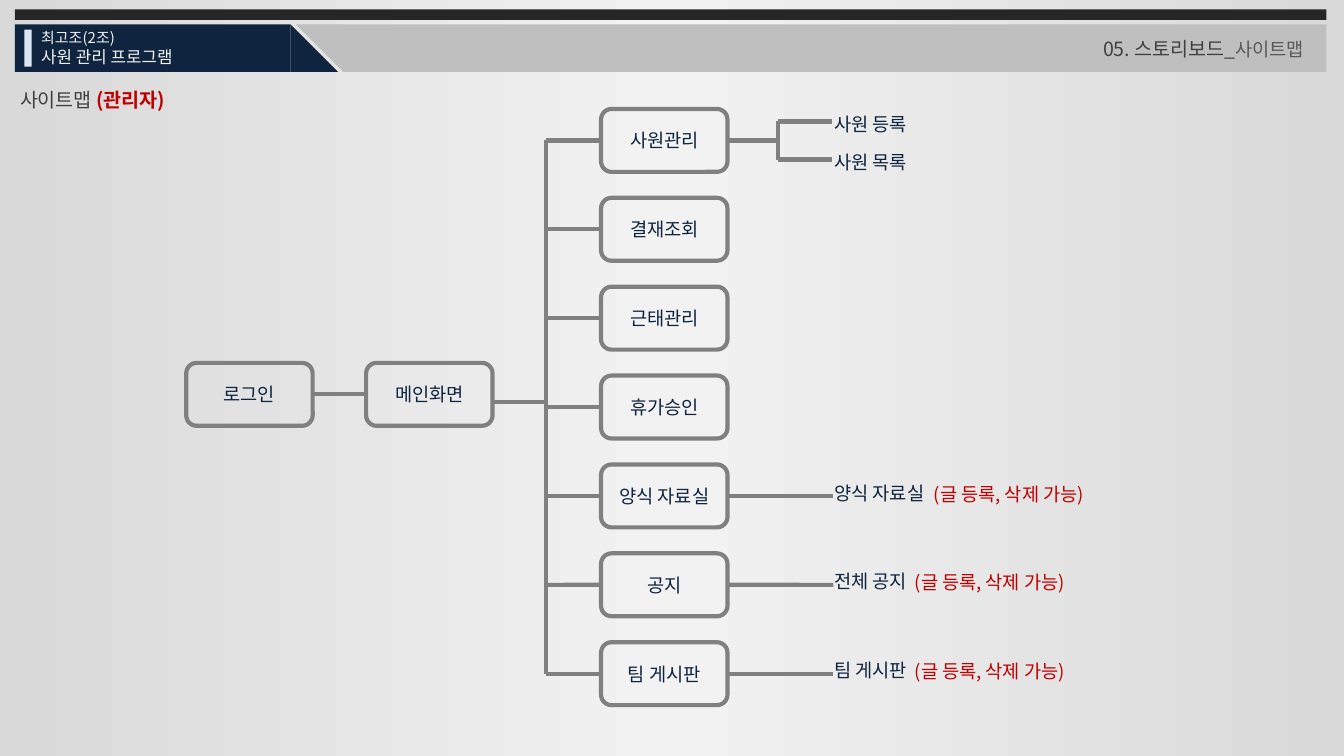
from collections import namedtuple
from copy import deepcopy

from lxml import etree
from pptx import Presentation
from pptx import util as u
from pptx.dml.color import RGBColor
from pptx.enum import shapes, text
from pptx.oxml import ns

COLORS = {
    "edge": "D9D9D9", "middle": "F2F2F2", "strip": "262626", "navy": "0F243E",
    "silver": "BFBFBF", "accent": "DCE6F2", "title": "404040", "muted": "595959",
    "line": "808080", "red": "C00000",
}
FONT = "Noto Sans CJK KR"
RIGHTS = "(글 등록, 삭제 가능)"
MENU = ["사원관리", "결재조회", "근태관리", "휴가승인", "양식 자료실", "공지", "팀 게시판"]
DETAILS = {4: ("양식 자료실", 1.88), 5: ("전체 공지", 1.52), 6: ("팀 게시판", 1.52)}
NODE_WIDTH, NODE_HEIGHT = 2.39, 1.19
LABEL_HEIGHT = 0.69

Box = namedtuple("Box", "left top width height")


def color(name):
    """Return the named colour."""
    return RGBColor.from_string(COLORS[name])


def lengths(box):
    """Return the four lengths of a box given in centimetres."""
    return [u.Cm(value) for value in box]


def add_run(para, words, size, shade, bold=False):
    """Append one formatted run to a paragraph."""
    span = para.add_run()
    span.text = words
    span.font.size = u.Pt(size)
    span.font.bold = bold
    span.font.name = FONT
    span.font.color.rgb = color(shade)
    east_asian = etree.SubElement(span.font._element, ns.qn("a:ea"))
    east_asian.set("typeface", FONT)


def add_label(page, box, runs, spacing=None):
    """Add a wrapping text box made of (words, size, colour, bold) runs."""
    label = page.shapes.add_textbox(*lengths(box))
    frame = label.text_frame
    frame.word_wrap = True
    frame.auto_size = text.MSO_AUTO_SIZE.SHAPE_TO_FIT_TEXT
    para = frame.paragraphs[0]
    if spacing:
        para.line_spacing = spacing
    for run in runs:
        add_run(para, *run)


def add_block(page, kind, box, shade, rotation=0):
    """Add a filled shape without an outline."""
    block = page.shapes.add_shape(kind, *lengths(box))
    block.shadow.inherit = False
    block.fill.solid()
    block.fill.fore_color.rgb = color(shade)
    block.line.fill.background()
    block.rotation = rotation


def add_node(page, left, top, words):
    """Add an outlined sitemap node with centred text."""
    box = Box(left, top, NODE_WIDTH, NODE_HEIGHT)
    node = page.shapes.add_shape(shapes.MSO_SHAPE.ROUNDED_RECTANGLE, *lengths(box))
    node.shadow.inherit = False
    node.fill.background()
    node.line.color.rgb = color("line")
    node.line.width = u.Pt(2.25)
    frame = node.text_frame
    frame.vertical_anchor = text.MSO_ANCHOR.MIDDLE
    para = frame.paragraphs[0]
    para.alignment = text.PP_ALIGN.CENTER
    add_run(para, words, 10, "navy")
    return node


def add_line(page, start, finish, source=None, target=None):
    """Add a straight line, joined to a source's right or a target's left side."""
    line = page.shapes.add_connector(
        shapes.MSO_CONNECTOR.STRAIGHT, *lengths(start + finish))
    if source is not None:
        line.begin_connect(source, 3)
    if target is not None:
        line.end_connect(target, 1)
    line.line.color.rgb = color("line")
    line.line.width = u.Pt(2.25)
    etree.SubElement(line._element.spPr, ns.qn("a:effectLst"))


def paint_background(page):
    """Fill the page with a horizontal three-stop gradient."""
    fill = page.background.fill
    fill.gradient()
    fill.gradient_angle = 0
    stops = page.element.find(".//" + ns.qn("a:gsLst"))
    stops.insert(1, deepcopy(stops[0]))
    for stop, place, shade in zip(
            fill.gradient_stops, (0, 0.5, 1), ("edge", "middle", "edge")):
        stop.position = place
        stop.color.rgb = color(shade)


def build_header(page, box):
    """Draw the banner with the project name and the page title."""
    left, top, width, height = box
    bar = top + 0.28
    bar_height = height - 0.28
    rectangle = shapes.MSO_SHAPE.RECTANGLE
    triangle = shapes.MSO_SHAPE.RIGHT_TRIANGLE
    add_block(page, rectangle, Box(left, top, width, 0.2), "strip")
    add_block(page, rectangle, Box(left, bar, 5.21, bar_height), "navy")
    add_block(page, triangle, Box(left + 5.21, bar, 0.9, bar_height), "navy")
    add_block(page, rectangle, Box(left + 6.2, bar, width - 6.2, bar_height), "silver")
    add_block(page, triangle, Box(left + 5.31, bar, 0.9, bar_height), "silver", 180)
    add_block(page, rectangle, Box(left + 0.18, bar + 0.1, 0.14, 0.7), "accent")
    add_label(page, Box(left + 0.25, bar - 0.05, 3.81, 0.61), [("최고조(2조)", 8, "middle")])
    add_label(page, Box(left + 0.25, bar + 0.3, 3.81, 0.64),
              [("사원 관리 프로그램", 9, "middle")])

    title = page.shapes.title
    title.left, title.top, title.width, title.height = lengths(
        Box(left + width - 6.02, bar + 0.12, 5.84, 0.71))
    frame = title.text_frame
    frame.word_wrap = True
    frame.auto_size = text.MSO_AUTO_SIZE.SHAPE_TO_FIT_TEXT
    frame.vertical_anchor = text.MSO_ANCHOR.TOP
    para = frame.paragraphs[0]
    para.alignment = text.PP_ALIGN.RIGHT
    add_run(para, "05. 스토리보드_", 10.5, "title")
    add_run(para, "사이트맵", 10, "muted")
    title.element.getparent().append(title.element)


def build_entry(page, box, spine):
    """Draw the login and main screen nodes and the line to the spine."""
    login = add_node(page, box.left, box.top, "로그인")
    home_left = box.left + box.width - NODE_WIDTH
    home = add_node(page, home_left, box.top, "메인화면")
    middle = box.top + box.height / 2
    add_line(page, (box.left + NODE_WIDTH, middle), (home_left, middle), login, home)
    exit_level = middle + 0.14
    add_line(page, (box.left + box.width, exit_level), (spine, exit_level))


def build_menu(page, box, spine):
    """Draw the evenly spaced menu nodes, their spine and their details."""
    pitch = (box.height - NODE_HEIGHT) / (len(MENU) - 1)
    levels = [box.top + NODE_HEIGHT / 2 + pitch * row for row in range(len(MENU))]
    right = box.left + NODE_WIDTH
    label_left = right + 1.77
    add_line(page, (spine, levels[0]), (spine, levels[-1]))
    for row, (words, level) in enumerate(zip(MENU, levels)):
        node = add_node(page, box.left, level - NODE_HEIGHT / 2, words)
        add_line(page, (spine, level), (box.left, level), target=node)
        if row == 0:
            build_fork(page, Box(right, level - 0.36, 1.97, 0.72), node)
        if row in DETAILS:
            name, offset = DETAILS[row]
            add_line(page, (right, level), (label_left + 0.23, level), source=node)
            add_label(page, Box(label_left, level - 0.4, 4.19, LABEL_HEIGHT),
                      [(name, 10, "navy")])
            add_label(page, Box(label_left + offset, level - 0.38, 3.58, LABEL_HEIGHT),
                      [(RIGHTS, 10, "red")])


def build_fork(page, box, node):
    """Draw the two-way fork from a node to its child labels."""
    fork = box.left + 0.96
    middle = box.top + box.height / 2
    bottom = box.top + box.height
    add_line(page, (box.left, middle), (fork, middle), source=node)
    add_line(page, (fork, box.top), (fork, bottom))
    for words, level in (("사원 등록", box.top), ("사원 목록", bottom)):
        add_line(page, (fork, level), (box.left + box.width, level))
        add_label(page, Box(box.left + 1.77, level - 0.28, 4.19, LABEL_HEIGHT),
                  [(words, 10, "navy")])


def build_sitemap(deck):
    """Add the administrator sitemap page."""
    page = deck.slides.add_slide(deck.slide_layouts[5])
    spine = 10.32
    paint_background(page)
    build_header(page, Box(0.28, 0.18, 24.79, 1.18))
    add_label(page, Box(0.13, 1.32, 5.77, 0.86),
              [("사이트맵 ", 10.5, "title"), ("(관리자)", 10.5, "red", True)], 1.5)
    build_entry(page, Box(3.52, 6.86, 5.79, NODE_HEIGHT), spine)
    build_menu(page, Box(11.36, 2.06, NODE_WIDTH, 11.27), spine)


def main():
    """Build and save the deck."""
    deck = Presentation()
    deck.slide_width, deck.slide_height = u.Cm(25.4), u.Cm(14.29)
    build_sitemap(deck)
    deck.save("out.pptx")


if __name__ == "__main__":
    main()
